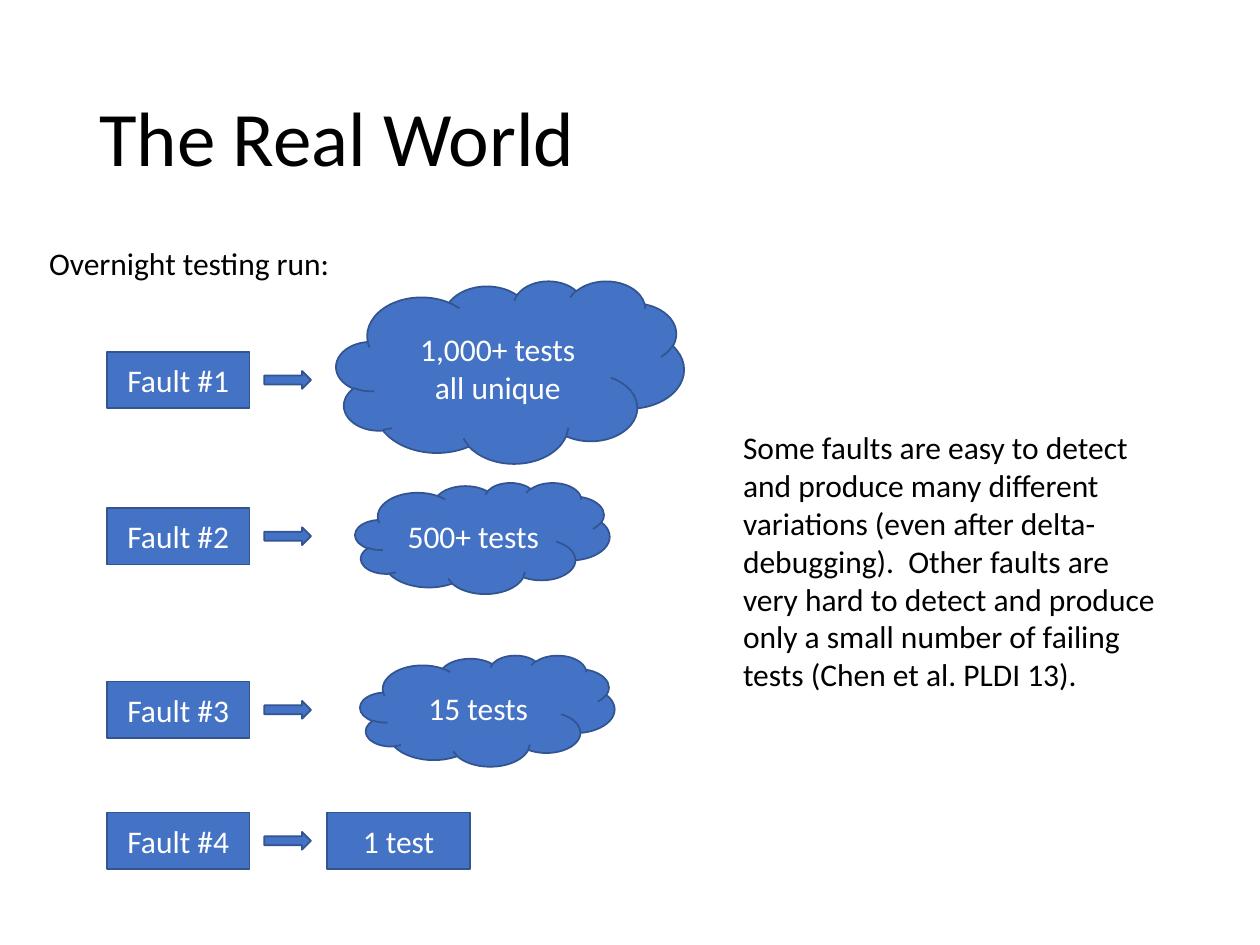
"""Build the slide on how many failing tests each fault produces."""
from pptx import Presentation
from pptx.dml.color import RGBColor
from pptx.enum.shapes import MSO_SHAPE
from pptx.enum.text import MSO_ANCHOR, MSO_AUTO_SIZE, PP_ALIGN
from pptx.util import Cm, Pt

RECTANGLE = MSO_SHAPE.RECTANGLE
ARROW = MSO_SHAPE.RIGHT_ARROW
CLOUD = MSO_SHAPE.CLOUD
MIDDLE = MSO_ANCHOR.MIDDLE
CENTER = PP_ALIGN.CENTER
GROW = MSO_AUTO_SIZE.SHAPE_TO_FIT_TEXT

BLUE = RGBColor(0x44, 0x72, 0xC4)
DARK_BLUE = RGBColor(0x32, 0x54, 0x91)
WHITE = RGBColor(0xFF, 0xFF, 0xFF)
BLACK = RGBColor(0x00, 0x00, 0x00)

FONT = "Calibri"
BODY_SIZE = 18
FAULT_LEFT = 2.16
ARROW_LEFT = 5.33
BOX_WIDTH, BOX_HEIGHT = 2.87, 1.14
ARROW_WIDTH, ARROW_HEIGHT = 0.94, 0.36

FAULT_ROWS = [
    (7.09, CLOUD, "1,000+ tests\nall unique", (6.78, 5.66, 7.01, 3.68)),
    (10.24, CLOUD, "500+ tests", (7.16, 9.73, 5.13, 2.24)),
    (13.74, CLOUD, "15 tests", (7.26, 13.21, 5.13, 2.24)),
    (16.38, RECTANGLE, "1 test", (6.6, 16.38, BOX_WIDTH, BOX_HEIGHT)),
]
REMARK = (
    "Some faults are easy to detect\v"
    "and produce many different\v"
    "variations (even after delta-\v"
    "debugging).  Other faults are\v"
    "very hard to detect and produce\v"
    "only a small number of failing\v"
    "tests (Chen et al. PLDI 13)."
)


def write_text(frame, text, size, color, align=None):
    """Fill a text frame and format all its runs alike."""
    frame.text = text
    for paragraph in frame.paragraphs:
        paragraph.alignment = align
        for run in paragraph.runs:
            run.font.name = FONT
            run.font.size = Pt(size)
            run.font.color.rgb = color


def add_title(slide, text):
    """Add the slide title."""
    title = slide.shapes.add_textbox(Cm(1.75), Cm(1.02), Cm(21.9), Cm(3.68))
    frame = title.text_frame
    frame.word_wrap = True
    frame.vertical_anchor = MIDDLE
    write_text(frame, text, 44, BLACK)
    frame.paragraphs[0].line_spacing = 0.9


def add_note(slide, text, bounds):
    """Add unwrapped body text."""
    note = slide.shapes.add_textbox(*map(Cm, bounds))
    note.text_frame.word_wrap = False
    note.text_frame.auto_size = GROW
    write_text(note.text_frame, text, BODY_SIZE, BLACK)


def add_blue_shape(slide, kind, bounds, label=""):
    """Add a blue outlined shape with an optional centred label."""
    shape = slide.shapes.add_shape(kind, *map(Cm, bounds))
    shape.shadow.inherit = False
    shape.fill.solid()
    shape.fill.fore_color.rgb = BLUE
    shape.line.color.rgb = DARK_BLUE
    shape.line.width = Pt(1)
    if label:
        shape.text_frame.vertical_anchor = MIDDLE
        write_text(shape.text_frame, label, BODY_SIZE, WHITE, CENTER)


def add_fault_row(slide, number, top, result_kind, result, result_bounds):
    """Add a fault, its arrow and the tests it produces."""
    arrow_top = top + (BOX_HEIGHT - ARROW_HEIGHT) / 2
    add_blue_shape(slide, RECTANGLE, (FAULT_LEFT, top, BOX_WIDTH, BOX_HEIGHT),
                   f"Fault #{number}")
    add_blue_shape(slide, ARROW, (ARROW_LEFT, arrow_top, ARROW_WIDTH, ARROW_HEIGHT))
    add_blue_shape(slide, result_kind, result_bounds, result)


def main():
    """Build and save the slide."""
    presentation = Presentation()
    presentation.slide_width = Cm(25.4)
    presentation.slide_height = Cm(19.05)
    slide = presentation.slides.add_slide(presentation.slide_layouts[6])
    add_title(slide, "The Real World")
    add_note(slide, "Overnight testing run:", (0.74, 4.8, 6.25, 1.02))
    for number, row in enumerate(FAULT_ROWS, start=1):
        add_fault_row(slide, number, *row)
    add_note(slide, REMARK, (14.73, 8.51, 8.92, 5.64))
    presentation.save("out.pptx")


if __name__ == "__main__":
    main()
